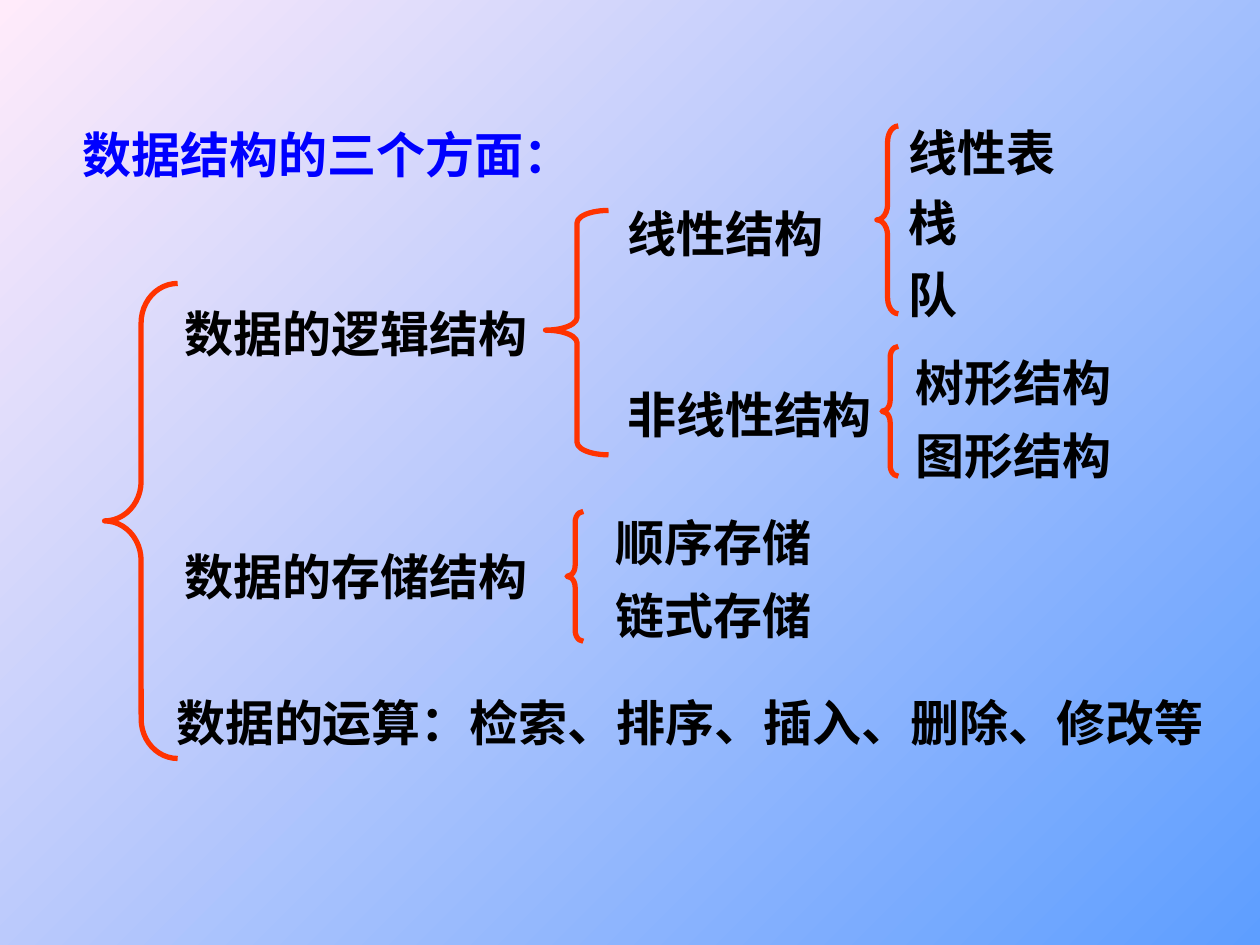
from pptx import Presentation
from pptx.dml.color import RGBColor
from pptx.enum.shapes import MSO_SHAPE as SHAPE
from pptx.enum.text import PP_ALIGN as ALIGN
from pptx.util import Inches, Pt

COLORS = {"blue": "5E9EFF", "pink": "FFEBFA", "brace": "FF3300",
          "title": "0000FF", "text": "000000"}
FONT, SIZE = "Times New Roman", 28

# Each column: left edge, then (top, text) of its labels
COLUMNS = [
    (1.37, [(2.36, "数据的逻辑结构"), (4.29, "数据的存储结构")]),
    (1.30, [(5.45, "数据的运算：检索、排序、插入、删除、修改等")]),
    (4.88, [(1.57, "线性结构"), (3.00, "非线性结构")]),
    (4.79, [(4.02, "顺序存储"), (4.60, "链式存储")]),
    (7.11, [(0.92, "线性表"), (1.48, "栈"), (2.05, "队")]),
    (7.17, [(2.75, "树形结构"), (3.33, "图形结构")]),
]


def rgb(name):
    return RGBColor.from_string(COLORS[name])


def add_background(s):
    fill = s.background.fill
    fill.gradient()
    fill.gradient_angle = 135
    for stop, name in zip(fill.gradient_stops, ("blue", "pink")):
        stop.color.rgb = rgb(name)


def add_label(s, text, left, top, color="text", size=SIZE, bold=True):
    """Add one line of full-width characters in a box that just fits it."""
    width = len(text) * size / 72 + 0.2
    tf = s.shapes.add_textbox(Inches(left), Inches(top),
                              Inches(width), Inches(0.57)).text_frame
    tf.word_wrap = False
    p = tf.paragraphs[0]
    p.alignment = ALIGN.LEFT
    r = p.add_run()
    r.text = text
    r.font.name, r.font.size, r.font.bold = FONT, Pt(size), bold
    r.font.color.rgb = rgb(color)


def add_brace(s, left, top, width, height, curve=None, tip=0.5):
    """Add a left brace; curve is the height of its bends, tip a share of height."""
    sp = s.shapes.add_shape(SHAPE.LEFT_BRACE, Inches(left), Inches(top),
                            Inches(width), Inches(height))
    sp.adjustments[0] = (curve or height / 12) / width
    sp.adjustments[1] = tip
    sp.shadow.inherit = False
    sp.fill.background()
    sp.line.color.rgb = rgb("brace")
    sp.line.width = Pt(3)


def main():
    prs = Presentation()
    prs.slide_width, prs.slide_height = Inches(10), Inches(7.5)
    s = prs.slides.add_slide(prs.slide_layouts[6])
    add_background(s)

    add_brace(s, 0.83, 2.25, 0.58, 3.77)
    add_brace(s, 4.33, 1.67, 0.50, 1.94, curve=0.1, tip=0.49)
    add_brace(s, 4.50, 4.06, 0.13, 1.03)
    add_brace(s, 6.96, 1.00, 0.17, 1.49)
    add_brace(s, 7.00, 2.75, 0.13, 1.03)

    add_label(s, "数据结构的三个方面：", 0.56, 0.94, color="title")
    for left, labels in COLUMNS:
        for top, text in labels:
            add_label(s, text, left, top)

    prs.save("out.pptx")


if __name__ == "__main__":
    main()
